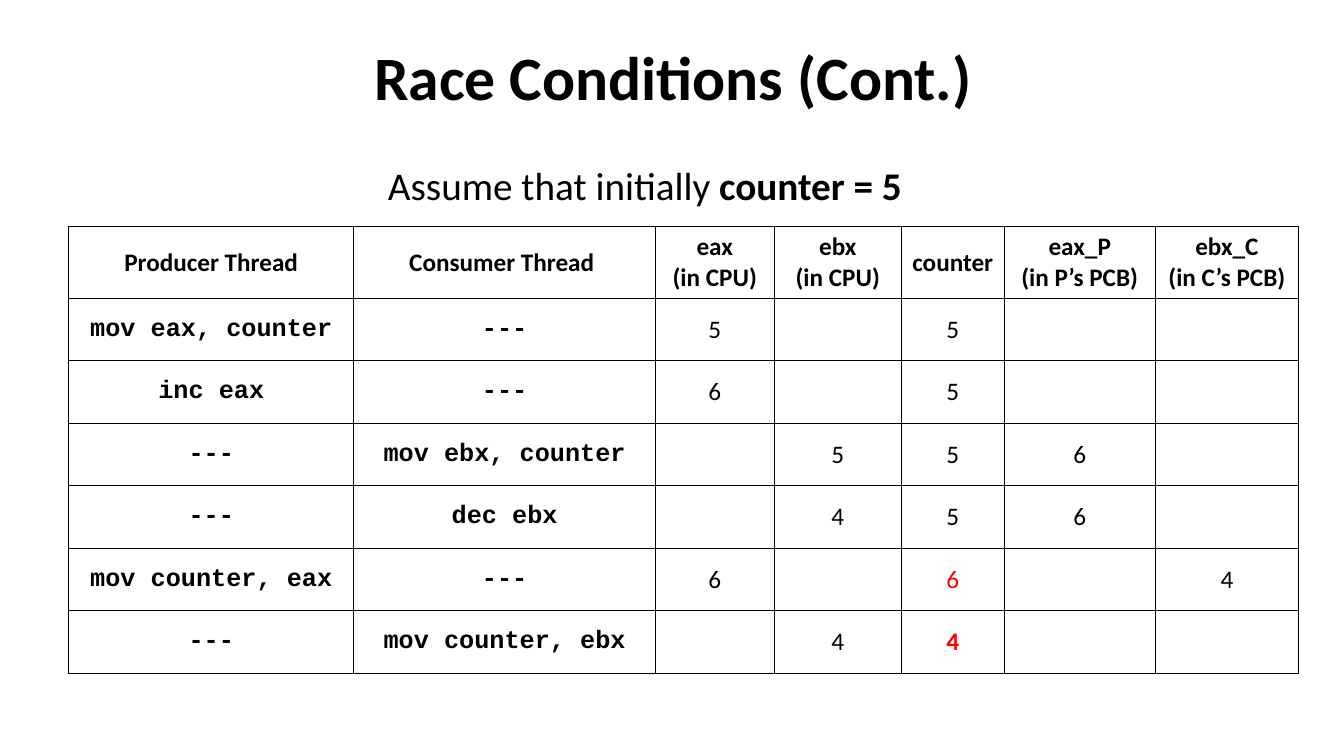
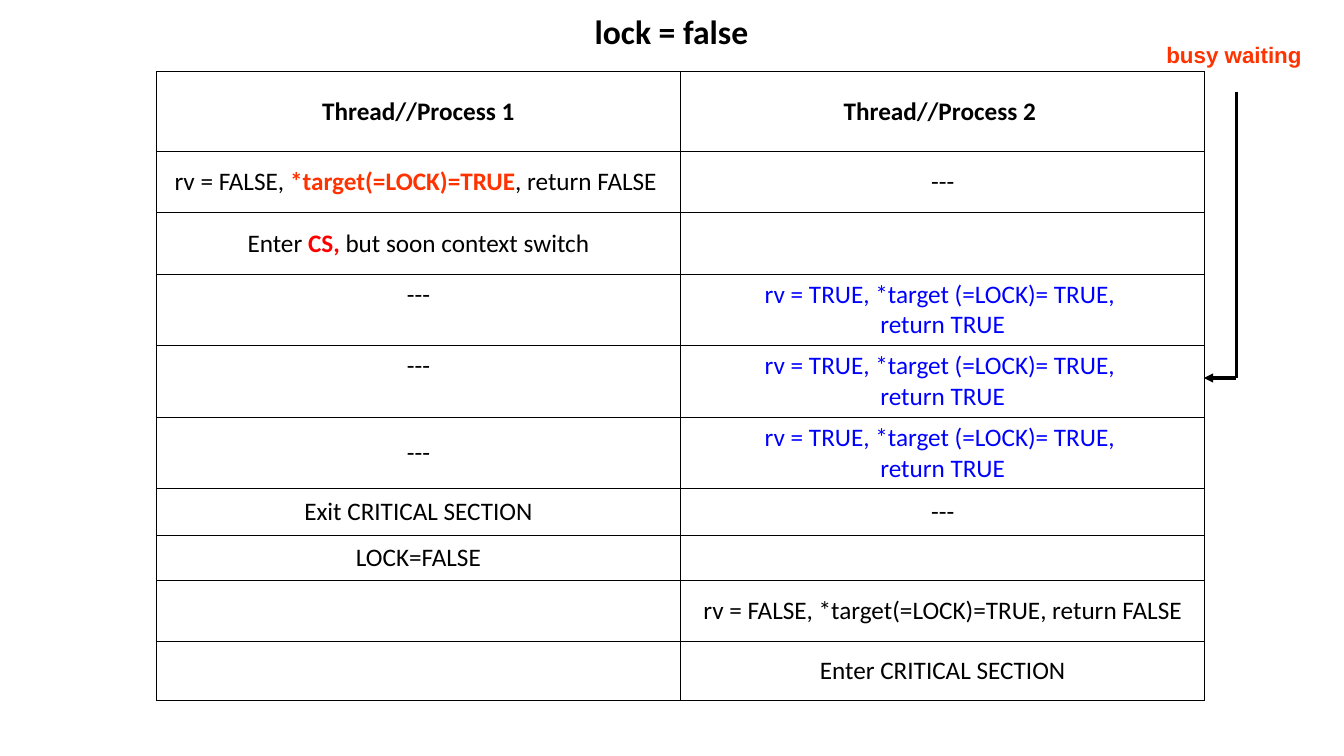
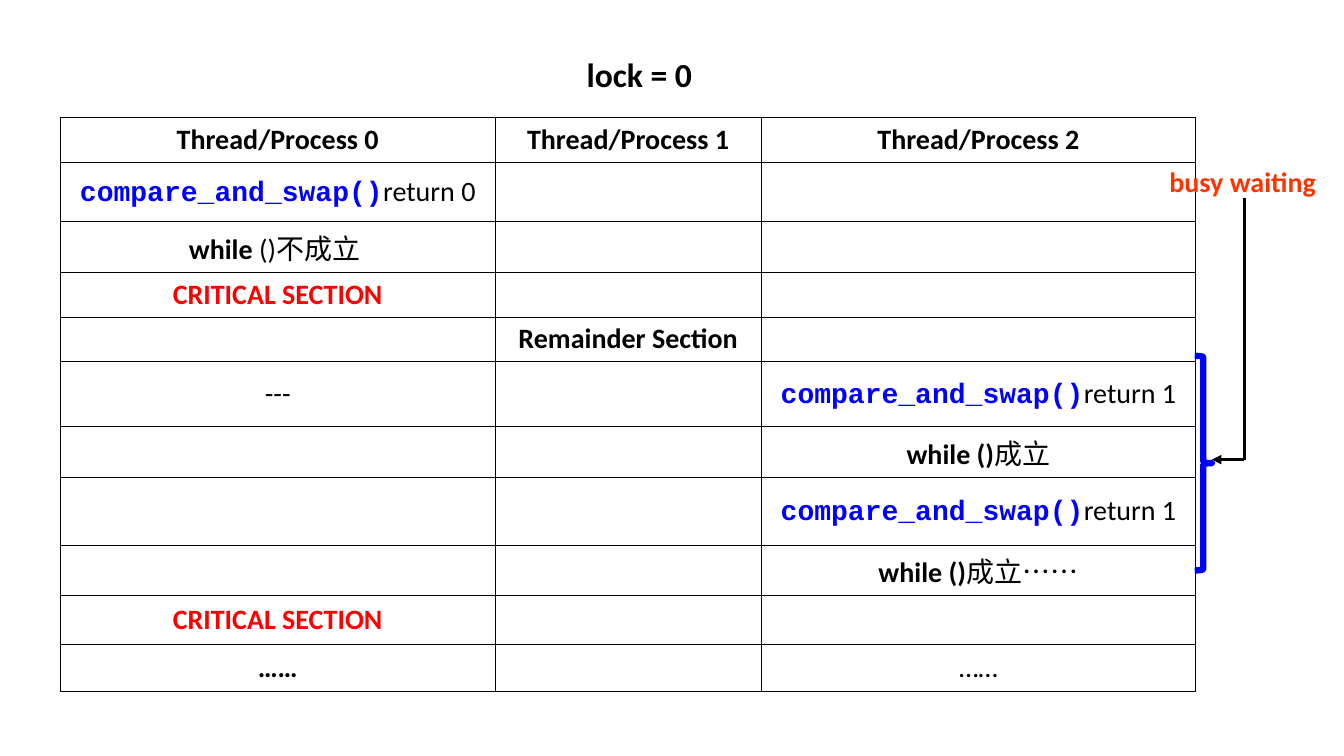
from pptx import Presentation
from pptx.dml.color import RGBColor
from pptx.enum import shapes, text
from pptx.oxml import parse_xml
from pptx.oxml.ns import nsdecls, qn
from pptx.util import Inches, Pt

BLACK = RGBColor(0, 0, 0)
WHITE = RGBColor(255, 255, 255)
RED = RGBColor(255, 0, 0)
ORANGE = RGBColor(255, 51, 0)
BLUE = RGBColor(0, 0, 255)
MAIN = "Calibri"
MONO = "Courier New"


def run(words, color=BLACK, bold=False, font=MAIN):
    """Describe one run of text."""
    return words, color, bold, font


def head(words, color=BLACK):
    """Describe a bold run."""
    return run(words, color, True)


def code(words, color=BLACK):
    """Describe a bold run of code."""
    return run(words, color, True, MONO)


def write(frame, runs, size, align=None):
    """Write runs into a frame; a line feed starts a paragraph."""
    para = frame.paragraphs[0]
    para.alignment = align
    for words, color, bold, font in runs:
        for count, line in enumerate(words.split("\n")):
            if count:
                para = frame.add_paragraph()
                para.alignment = align
            part = para.add_run()
            part.text = line
            part.font.size = Pt(size)
            part.font.name = font
            part.font.bold = bold
            part.font.color.rgb = color


def title(slide, words):
    """Place and format the slide title."""
    box = slide.shapes.title
    box.left, box.top = Inches(0.68), Inches(0.13)
    box.width, box.height = Inches(12), Inches(1.25)
    box.text_frame.vertical_anchor = text.MSO_ANCHOR.MIDDLE
    write(box.text_frame, [head(words)], 44, text.PP_ALIGN.CENTER)


def label(slide, area, runs, size, wrap=False):
    """Add a text box that grows with its text."""
    box = slide.shapes.add_textbox(*map(Inches, area))
    box.text_frame.word_wrap = wrap
    box.text_frame.auto_size = text.MSO_AUTO_SIZE.SHAPE_TO_FIT_TEXT
    write(box.text_frame, runs, size)


def border(cell):
    """Draw thin black lines on all sides of a cell."""
    props = cell._tc.get_or_add_tcPr()
    for side in "LRTB":
        props.append(parse_xml(
            f'<a:ln{side} {nsdecls("a")} w="{Pt(0.75)}"><a:solidFill>'
            f'<a:srgbClr val="{BLACK}"/></a:solidFill></a:ln{side}>'))


def grid(slide, left, top, cols, rows, cells, size=18, inset=0.1, raised=()):
    """Add a ruled table; raised lists the cells with text at the top."""
    frame = slide.shapes.add_table(
        len(rows), len(cols), Inches(left), Inches(top),
        Inches(sum(cols)), Inches(sum(rows)))
    table = frame.table
    table.first_row = table.horz_banding = False
    for col, width in zip(table.columns, cols):
        col.width = Inches(width)
    for row, height in zip(table.rows, rows):
        row.height = Inches(height)
    for y, line in enumerate(cells):
        for x, runs in enumerate(line):
            cell = table.cell(y, x)
            cell.margin_left = cell.margin_right = Inches(inset)
            high = (y, x) in raised
            cell.vertical_anchor = (text.MSO_ANCHOR.TOP if high
                                    else text.MSO_ANCHOR.MIDDLE)
            border(cell)
            cell.fill.solid()
            cell.fill.fore_color.rgb = WHITE
            write(cell.text_frame, runs, size, text.PP_ALIGN.CENTER)


def line(slide, start, end, arrow=False):
    """Add a straight black line, with an arrowhead if asked."""
    link = slide.shapes.add_connector(
        shapes.MSO_CONNECTOR.STRAIGHT, *map(Inches, start + end))
    link.line.color.rgb = BLACK
    link.line.width = Pt(2.25)
    if arrow:
        link.line._get_or_add_ln().append(
            parse_xml(f'<a:tailEnd {nsdecls("a")} type="triangle"/>'))
    link._element.spPr.append(
        link._element.makeelement(qn("a:effectLst"), {}))


def hook(slide, x, top, low):
    """Add a line going down that turns left into an arrow."""
    line(slide, (x, top), (x, low))
    line(slide, (x, low), (x - 0.32, low), True)


def brace(slide, area):
    """Add a blue right brace."""
    mark = slide.shapes.add_shape(
        shapes.MSO_SHAPE.RIGHT_BRACE, *map(Inches, area))
    mark.shadow.inherit = False
    mark.fill.background()
    mark.line.color.rgb = BLUE
    mark.line.width = Pt(4.5)


def race(deck):
    """Build the slide on race conditions."""
    slide = deck.slides.add_slide(deck.slide_layouts[5])
    title(slide, "Race Conditions (Cont.)")
    heads = ["Producer Thread", "Consumer Thread ", "eax\n(in CPU)",
             "ebx\n(in CPU)", "counter", "eax_P\n(in P’s PCB)",
             "ebx_C\n(in C’s PCB)"]
    steps = [
        ("mov eax, counter", "---", "5", "", "5", "", ""),
        ("inc eax", "---", "6", "", "5", "", ""),
        ("---", "mov ebx, counter", "", "5", "5", "6", ""),
        ("---", "dec ebx", "", "4", "5", "6", ""),
        ("mov counter, eax", "---", "6", "", "6", "", "4"),
        ("---", "mov counter, ebx", "", "4", "4", "", ""),
    ]
    cells = [[[head(words)] for words in heads]]
    for step in steps:
        cells.append([[code(words)] for words in step[:2]]
                     + [[run(words)] if words else [] for words in step[2:]])
    cells[5][4] = [run("6", RED)]
    cells[6][4] = [head("4", RED)]
    grid(slide, 0.68, 2.25, [2.83, 2.99, 1.18, 1.26, 1.02, 1.5, 1.42],
         [0.7] + [0.62] * 6, cells)
    label(slide, (3.75, 1.55, 5.36, 0.57),
          [run("Assume that initially "), head("counter = 5")], 28)


def spin(deck):
    """Build the slide on a lock that starts as false."""
    slide = deck.slides.add_slide(deck.slide_layouts[6])
    dash = [run("---")]
    wait = [run("rv = TRUE, *target (=LOCK)= TRUE, \nreturn TRUE", BLUE)]
    cells = [
        ([head("Thread//Process 1")], [head("Thread//Process 2 ")]),
        ([run("rv = FALSE, "), head("*target(=LOCK)=TRUE", ORANGE),
          run(", return FALSE ")], dash),
        ([run("Enter "), head("CS,", RED),
          run(" but soon context switch")], []),
        *[(dash, wait)] * 3,
        ([run("Exit CRITICAL SECTION")], dash),
        ([run("LOCK=FALSE")], []),
        ([], [run("rv = FALSE, *target(=LOCK)=TRUE, return FALSE")]),
        ([], [run("Enter CRITICAL SECTION")]),
    ]
    rows = [0.79, 0.61, 0.61, 0.71, 0.71, 0.71, 0.46, 0.45, 0.61, 0.58]
    grid(slide, 1.55, 0.71, [5.2, 5.2], rows, cells, inset=0.13,
         raised=[(3, 0), (4, 0)])
    label(slide, (5.8, 0.06, 1.8, 0.5), [head("lock = false")], 24, True)
    label(slide, (11.47, 0.36, 1.56, 0.37),
          [run("busy waiting", ORANGE, True, "Arial")], 16)
    hook(slide, 12.26, 0.91, 3.75)


def swap(deck):
    """Build the slide on compare and swap."""
    slide = deck.slides.add_slide(deck.slide_layouts[6])
    call = code("compare_and_swap()", BLUE)
    busy = [call, run("return 1")]
    inside = [head("CRITICAL SECTION", RED)]
    cells = [
        [[head(f"Thread/Process {num}")] for num in range(3)],
        ([call, run("return 0")], [], []),
        ([head("while "), run("()不成立 ")], [], []),
        (inside, [], []),
        ([], [head("Remainder Section")], []),
        ([run("---")], [], busy),
        ([], [], [head("while ()"), run("成立")]),
        ([], [], busy),
        ([], [], [head("while ()"), run("成立……")]),
        (inside, [], []),
        ([head("……")], [], [run("……")]),
    ]
    rows = [0.44, 0.59, 0.5, 0.44, 0.44, 0.65, 0.5, 0.67, 0.5, 0.48, 0.47]
    grid(slide, 0.6, 1.17, [4.31, 2.64, 4.31], rows, cells, 20, 0.14)
    label(slide, (5.72, 0.49, 1.8, 0.5), [head("lock = 0")], 24, True)
    hook(slide, 12.34, 1.96, 4.56)
    label(slide, (11.5, 1.58, 1.67, 0.44), [head("busy waiting", ORANGE)], 20)
    brace(slide, (11.85, 3.53, 0.17, 2.13))


def main():
    """Build and save the deck."""
    deck = Presentation()
    deck.slide_width, deck.slide_height = Inches(13.33), Inches(7.5)
    race(deck)
    spin(deck)
    swap(deck)
    deck.save("out.pptx")


if __name__ == "__main__":
    main()
